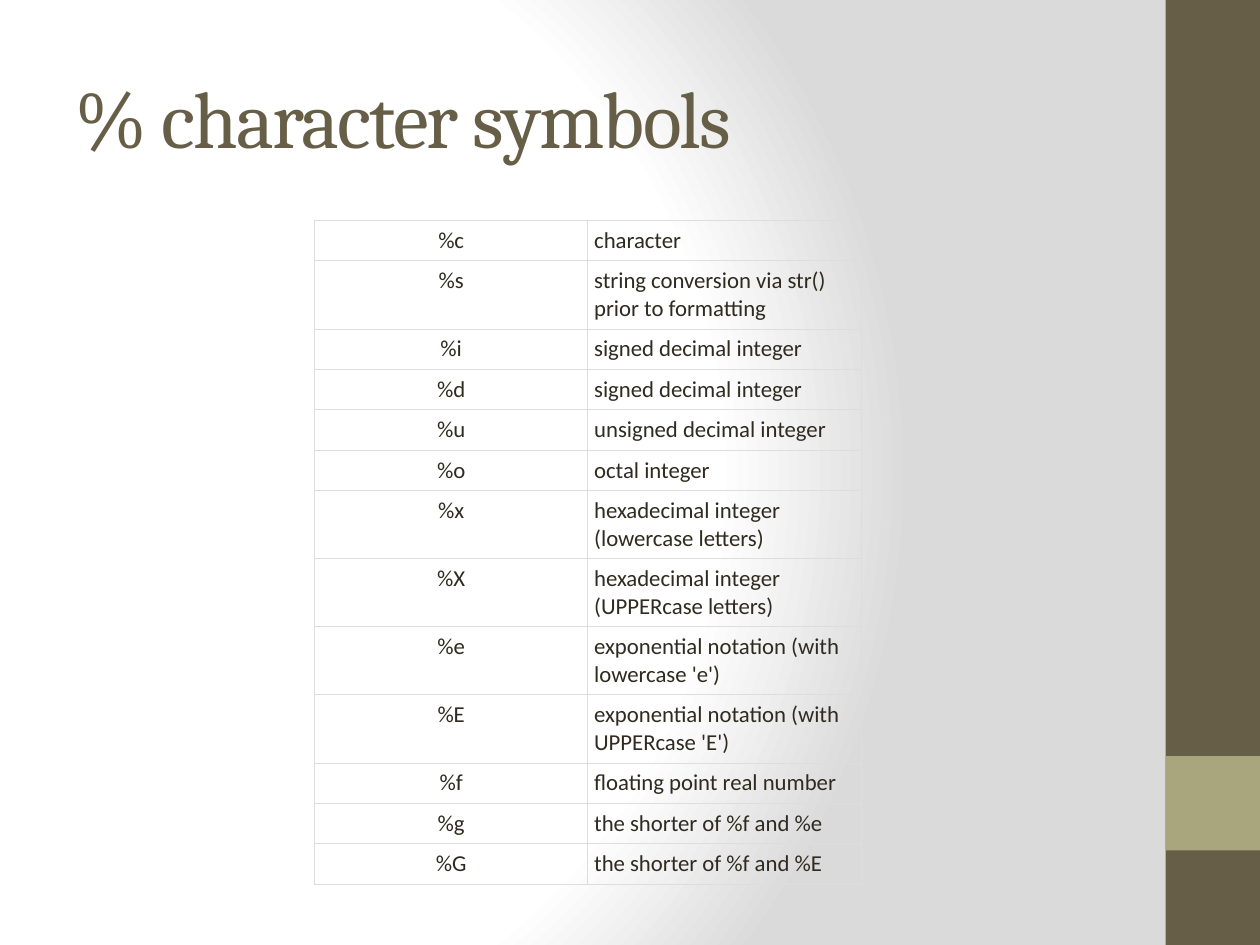
from pptx import Presentation, oxml
from pptx.dml.color import RGBColor
from pptx.enum import shapes, text
from pptx.oxml import ns
from pptx.util import Pt

BROWN = RGBColor(0x67, 0x5E, 0x47)
OLIVE = RGBColor(0xA9, 0xA5, 0x7C)
INK = RGBColor(0x2F, 0x2B, 0x20)
RULE = RGBColor(0xDD, 0xDD, 0xDD)
WHITE = RGBColor(0xFF, 0xFF, 0xFF)
GREY = RGBColor(0xDA, 0xDA, 0xDA)

SYMBOLS = [
    ("%c", "character"),
    ("%s", "string conversion via str() prior to formatting"),
    ("%i", "signed decimal integer"),
    ("%d", "signed decimal integer"),
    ("%u", "unsigned decimal integer"),
    ("%o", "octal integer"),
    ("%x", "hexadecimal integer (lowercase letters)"),
    ("%X", "hexadecimal integer (UPPERcase letters)"),
    ("%e", "exponential notation (with lowercase 'e')"),
    ("%E", "exponential notation (with UPPERcase 'E')"),
    ("%f", "floating point real number"),
    ("%g", "the shorter of %f and %e"),
    ("%G", "the shorter of %f and %E"),
]
LINE_CHARS = 30
ROW_HEIGHT, EXTRA_LINE = 22.9, 16
CELL_FORMAT = {
    "margin_left": Pt(3.6), "margin_right": Pt(3.6),
    "margin_top": Pt(3.6), "margin_bottom": Pt(3.6),
    "vertical_anchor": text.MSO_ANCHOR.TOP,
}


def apply(target, formats):
    """Set each attribute of the target from a dict of format values."""
    for attribute, value in formats.items():
        setattr(target, attribute, value)


def style_font(font, name, size, color):
    """Give a font its face, size and colour."""
    apply(font, {"name": name, "size": Pt(size), "bold": False})
    font.color.rgb = color


def paint_background(slide):
    """Fill the slide with a circular gradient centred left of the middle."""
    stops = "".join(
        f'<a:gs pos="{percent * 1000}"><a:srgbClr val="{color}"/></a:gs>'
        for percent, color in ((0, WHITE), (75, WHITE), (100, GREY)))
    slide.element.cSld.insert(0, oxml.parse_xml(
        f'<p:bg {ns.nsdecls("p", "a")}><p:bgPr><a:gradFill rotWithShape="1">'
        f'<a:gsLst>{stops}</a:gsLst><a:path path="circle">'
        '<a:fillToRect l="20000" t="50000" r="100000" b="50000"/></a:path>'
        '</a:gradFill><a:effectLst/></p:bgPr></p:bg>'))


def add_sidebar(slide, left, top, width, height):
    """Draw the side band with a square accent one width above its foot."""
    accent_top = top + height - 2 * width
    for band_top, band_height, color in ((top, height, BROWN), (accent_top, width, OLIVE)):
        band = slide.shapes.add_shape(
            shapes.MSO_SHAPE.RECTANGLE, Pt(left), Pt(band_top), Pt(width), Pt(band_height))
        band.shadow.inherit = False
        band.fill.solid()
        band.fill.fore_color.rgb = color
        band.line.fill.background()


def place_title(slide, wording, left, top, width, height):
    """Move and format the title placeholder."""
    title = slide.shapes.title
    apply(title, {"left": Pt(left), "top": Pt(top), "width": Pt(width), "height": Pt(height)})
    title.text = wording
    apply(title.text_frame, {
        "vertical_anchor": text.MSO_ANCHOR.MIDDLE,
        "auto_size": text.MSO_AUTO_SIZE.NONE, "word_wrap": True})
    heading = title.text_frame.paragraphs[0]
    heading.alignment = text.PP_ALIGN.LEFT
    style_font(heading.runs[0].font, "Cambria", 46, BROWN)
    heading.runs[0].font._element.set("spc", "-100")


def draw_borders(cell):
    """Rule all four sides of a cell with a thin line."""
    properties = cell._tc.get_or_add_tcPr()
    for position, side in enumerate("LRTB"):
        properties.insert(position, oxml.parse_xml(
            f'<a:ln{side} {ns.nsdecls("a")} w="{Pt(0.6)}"><a:solidFill>'
            f'<a:srgbClr val="{RULE}"/></a:solidFill></a:ln{side}>'))


def fill_cell(cell, wording, alignment):
    """Write and format one table cell."""
    cell.text = wording
    apply(cell, CELL_FORMAT)
    cell.fill.background()
    draw_borders(cell)
    entry = cell.text_frame.paragraphs[0]
    entry.alignment = alignment
    style_font(entry.runs[0].font, "Calibri", 13, INK)


def add_symbol_table(slide, left, top, width):
    """Lay out symbols and meanings in two equal columns."""
    heights = [ROW_HEIGHT + EXTRA_LINE * (len(meaning) > LINE_CHARS) for _, meaning in SYMBOLS]
    table = slide.shapes.add_table(
        len(SYMBOLS), 2, Pt(left), Pt(top), Pt(width), Pt(sum(heights))).table
    apply(table, {"first_row": False, "horz_banding": False})
    alignments = (text.PP_ALIGN.CENTER, text.PP_ALIGN.LEFT)
    for row, height, entries in zip(table.rows, heights, SYMBOLS):
        row.height = Pt(height)
        for cell, wording, alignment in zip(row.cells, entries, alignments):
            fill_cell(cell, wording, alignment)


def main():
    """Build the slide and save it."""
    deck = Presentation()
    apply(deck, {"slide_width": Pt(720), "slide_height": Pt(540)})
    slide = deck.slides.add_slide(deck.slide_layouts.get_by_name("Title Only"))
    paint_background(slide)
    add_sidebar(slide, 666, 0, 54, 540)
    place_title(slide, "% character symbols", 36, 21.6, 600, 90)
    add_symbol_table(slide, 179.7, 126, 312.5)
    deck.save("out.pptx")


if __name__ == "__main__":
    main()
